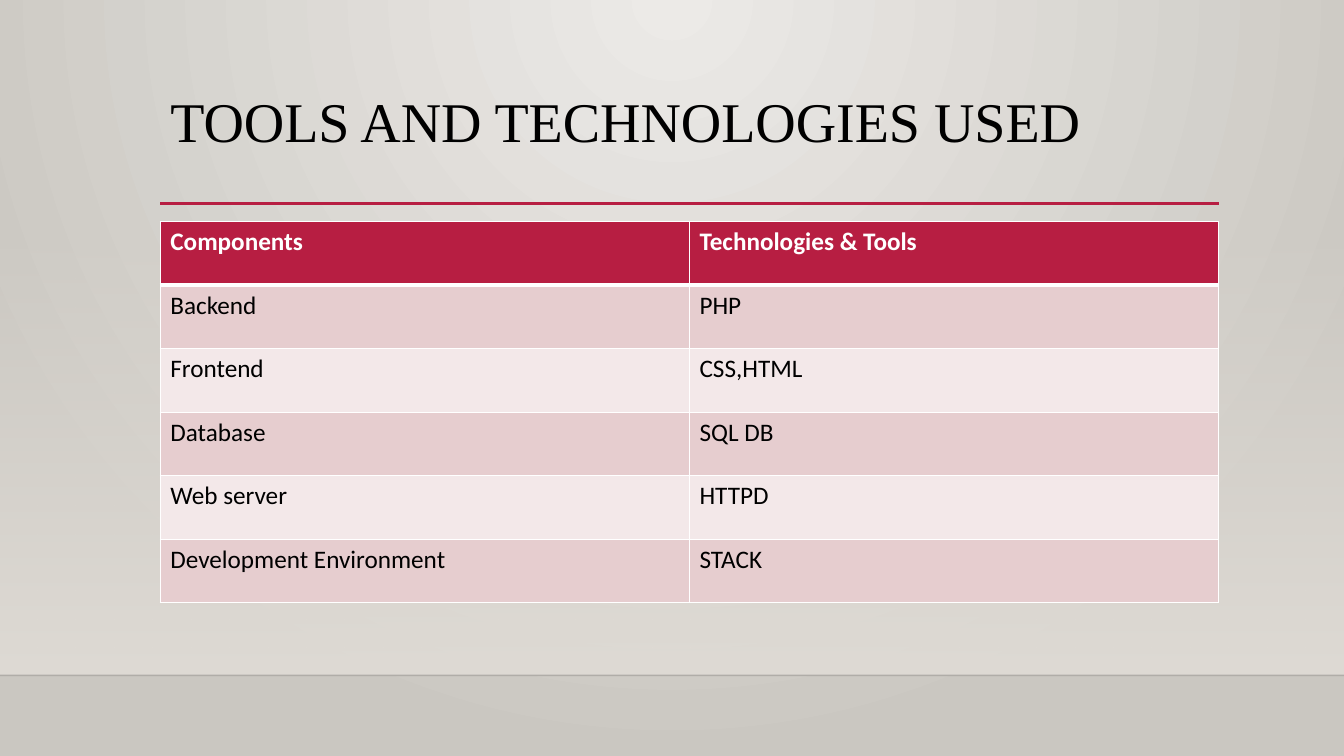
from pptx import Presentation
from pptx.dml.color import RGBColor
from pptx.enum.shapes import MSO_CONNECTOR, MSO_SHAPE
from pptx.enum.text import MSO_ANCHOR, PP_ALIGN
from pptx.oxml import parse_xml
from pptx.oxml.ns import nsdecls, qn
from pptx.util import Cm, Pt

TITLE = "TOOLS AND TECHNOLOGIES USED"
ROWS = [
    ("Components", "Technologies & Tools"),
    ("Backend", "PHP"),
    ("Frontend", "CSS,HTML"),
    ("Database", "SQL DB"),
    ("Web server", "HTTPD"),
    ("Development Environment", "STACK"),
]

BLACK = RGBColor(0, 0, 0)
WHITE = RGBColor(0xFF, 0xFF, 0xFF)
CRIMSON = RGBColor(0xB7, 0x1E, 0x42)
PINK = RGBColor(0xE6, 0xCD, 0xCF)
PALE = RGBColor(0xF3, 0xE8, 0xE9)
GLOW = RGBColor(0xEC, 0xEA, 0xE7)
STONE = RGBColor(0xCA, 0xC7, 0xC1)
SAND = RGBColor(0xDF, 0xDB, 0xD5)

WIDTH, HEIGHT = Cm(33.87), Cm(19.05)
LEFT, BODY_W = Cm(4.04), Cm(26.67)
FLOOR_Y = Cm(17.02)
WALL_Y = Cm(5.61)
RULE_Y = Cm(5.13)
ROW_H = Cm(1.6)


def set_gradient(element, stops, direction):
    gs = "".join(
        f'<a:gs pos="{pos}"><a:srgbClr val="{color}"><a:alpha val="{alpha}"/></a:srgbClr></a:gs>'
        for pos, color, alpha in stops)
    grad = element.find(".//" + qn("a:gradFill"))
    grad.getparent().replace(grad, parse_xml(
        f'<a:gradFill {nsdecls("a")} rotWithShape="1"><a:gsLst>{gs}</a:gsLst>{direction}</a:gradFill>'))


def add_rule(s, x1, x2, y, color, width):
    line = s.shapes.add_connector(MSO_CONNECTOR.STRAIGHT, x1, y, x2, y)
    line.line.color.rgb = color
    line.line.width = Pt(width)
    line.element.spPr.append(parse_xml(f'<a:effectLst {nsdecls("a")}/>'))
    return line


def set_borders(cell, widths):
    tcPr = cell._tc.get_or_add_tcPr()
    for i, (side, width) in enumerate(zip("LRTB", widths)):
        tcPr.insert(i, parse_xml(
            f'<a:ln{side} {nsdecls("a")} w="{Pt(width)}"><a:solidFill>'
            f'<a:srgbClr val="{WHITE}"/></a:solidFill></a:ln{side}>'))


def add_text(p, text, font, size, color, bold=False):
    r = p.add_run()
    r.text = text
    r.font.name = font
    r.font.size = Pt(size)
    r.font.bold = bold
    r.font.color.rgb = color


prs = Presentation()
prs.slide_width, prs.slide_height = WIDTH, HEIGHT
s = prs.slides.add_slide(prs.slide_layouts[5])

s.background.fill.gradient()
set_gradient(
    s.element, [(0, GLOW, 100000), (100000, STONE, 100000)],
    '<a:path path="circle"><a:fillToRect l="43000" t="0" r="43000" b="100000"/></a:path>')

wall = s.shapes.add_shape(MSO_SHAPE.RECTANGLE, 0, WALL_Y, WIDTH, FLOOR_Y - WALL_Y)
wall.shadow.inherit = False
wall.line.fill.background()
wall.fill.gradient()
set_gradient(wall.element, [(0, SAND, 0), (100000, SAND, 100000)],
             '<a:lin ang="5400000" scaled="0"/>')

floor = add_rule(s, 0, WIDTH, FLOOR_Y, BLACK, 1)
floor.element.find(".//" + qn("a:srgbClr")).append(
    parse_xml(f'<a:alpha {nsdecls("a")} val="20000"/>'))
add_rule(s, LEFT, Cm(30.73), RULE_Y, CRIMSON, 2.5)

title = s.shapes.title
title.left, title.top, title.width, title.height = LEFT, Cm(2.24), BODY_W, Cm(2.92)
tf = title.text_frame
tf.word_wrap = True
tf.vertical_anchor = MSO_ANCHOR.TOP
p = tf.paragraphs[0]
p.alignment = PP_ALIGN.LEFT
p.line_spacing = 0.9
add_text(p, TITLE, "Times New Roman", 40, BLACK)

table = s.shapes.add_table(len(ROWS), 2, LEFT, Cm(5.59), BODY_W, ROW_H * len(ROWS)).table
for i, row in enumerate(ROWS):
    header = i == 0
    for j, text in enumerate(row):
        cell = table.cell(i, j)
        cell.fill.solid()
        cell.fill.fore_color.rgb = CRIMSON if header else PINK if i % 2 else PALE
        set_borders(cell, (1, 1, 3 if i == 1 else 1, 3 if header else 1))
        add_text(cell.text_frame.paragraphs[0], text, "Calibri", 18,
                 WHITE if header else BLACK, header)

prs.save("out.pptx")
